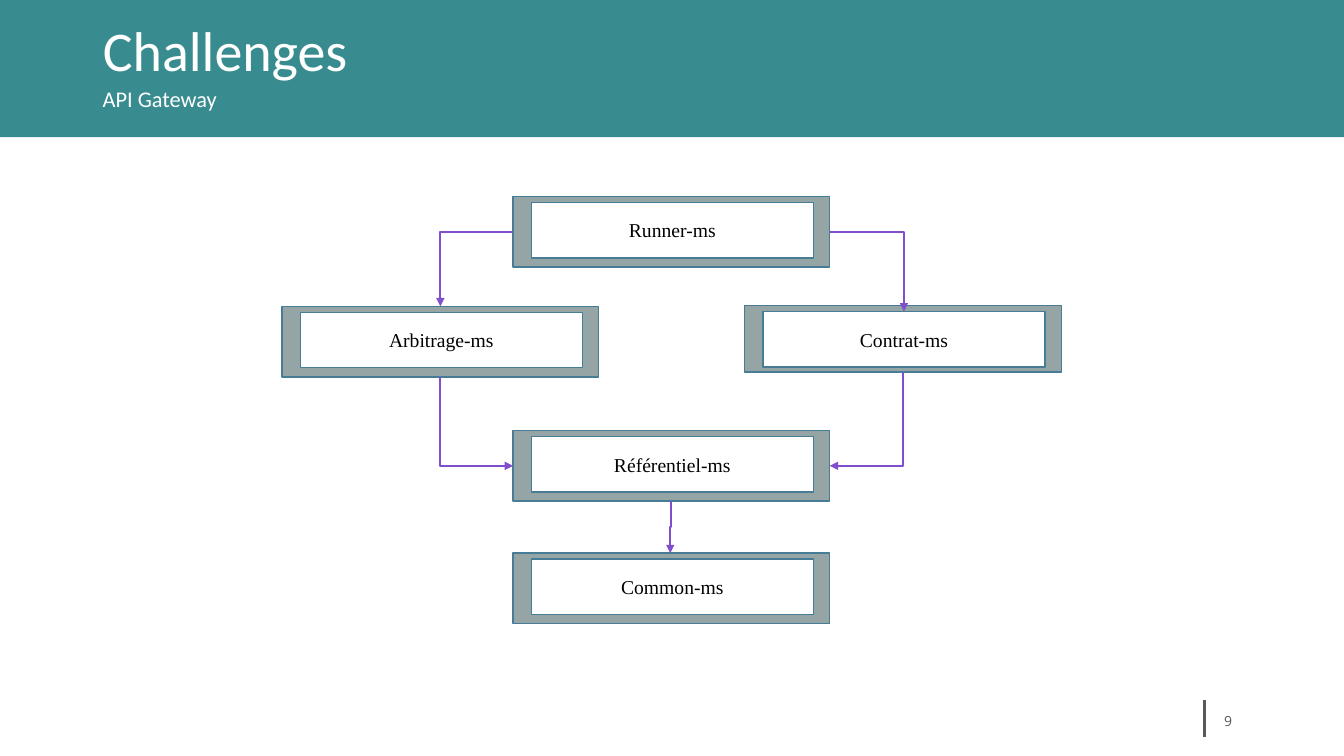
"""Build the API Gateway challenges slide with its service diagram."""
from lxml.etree import SubElement
from pptx import Presentation
from pptx.dml.color import RGBColor
from pptx.enum.shapes import MSO_CONNECTOR, MSO_SHAPE
from pptx.enum.text import MSO_ANCHOR, PP_ALIGN
from pptx.oxml.ns import qn
from pptx.util import Cm, Pt


def rgb(color):
    return RGBColor.from_string(color)


def write(tf, text, size, font, color, align=PP_ALIGN.LEFT, anchor=MSO_ANCHOR.MIDDLE, spacing=1.0):
    tf.word_wrap = True
    tf.vertical_anchor = anchor
    p = tf.paragraphs[0]
    p.alignment = align
    p.line_spacing = spacing
    r = p.add_run()
    r.text = text
    r.font.size = Pt(size)
    r.font.name = font
    r.font.color.rgb = rgb(color)


prs = Presentation()
prs.slide_width, prs.slide_height = Cm(33.87), Cm(19.05)
s = prs.slides.add_slide(prs.slide_layouts[5])

title = s.shapes.title
title.left, title.top, title.width, title.height = Cm(2.34), Cm(0.38), Cm(29.21), Cm(1.93)
write(title.text_frame, "Challenges", 40, "Calibri", "FFFFFF", spacing=0.9)

band = s.shapes.add_shape(MSO_SHAPE.RECTANGLE, 0, Cm(-0.18), prs.slide_width, Cm(3.64))
band.shadow.inherit = False
band.fill.solid()
band.fill.fore_color.rgb = rgb("388B8F")
band.line.fill.background()
title.element.addprevious(band.element)

number = s.shapes.add_textbox(Cm(30.43), Cm(17.78), Cm(1.04), Cm(0.79))
write(number.text_frame, "9", 10, "Open Sans", "595959", align=PP_ALIGN.CENTER)

rule = s.shapes.add_connector(MSO_CONNECTOR.STRAIGHT, Cm(30.35), Cm(17.65), Cm(30.35), Cm(18.57))
rule.line.color.rgb = rgb("595959")
rule.line.width = Pt(2.25)
SubElement(rule.element.spPr, qn("a:effectLst"))

subtitle = s.shapes.add_textbox(Cm(2.34), Cm(2.03), Cm(29.21), Cm(0.94))
write(subtitle.text_frame, "API Gateway", 16, "Calibri", "FFFFFF", anchor=MSO_ANCHOR.TOP)

services = [
    ("Runner-ms", 12.93, 4.95, 1.78),
    ("Arbitrage-ms", 7.11, 7.72, 1.78),
    ("Contrat-ms", 18.77, 7.7, 1.68),
    ("Référentiel-ms", 12.93, 10.85, 1.78),
    ("Common-ms", 12.93, 13.94, 1.78),
]
for name, x, y, h in services:
    frame = s.shapes.add_shape(MSO_SHAPE.RECTANGLE, Cm(x), Cm(y), Cm(7.98), Cm(h))
    label = s.shapes.add_shape(MSO_SHAPE.RECTANGLE, Cm(x + 0.46), Cm(y + 0.15), Cm(7.11), Cm(1.4))
    for sp, fill in ((frame, "95A5A6"), (label, "FFFFFF")):
        sp.shadow.inherit = False
        sp.fill.solid()
        sp.fill.fore_color.rgb = rgb(fill)
        sp.line.color.rgb = rgb("477C96")
        sp.line.width = Pt(1)
    write(label.text_frame, name, 14, "Times New Roman", "000000", align=PP_ALIGN.CENTER)

arrows = [
    ("bentConnector2", False, 12.93, 5.84, 11.1, 7.72),
    ("bentConnector2", True, 11.1, 9.5, 12.93, 11.74),
    ("bentConnector3", True, 16.92, 12.63, 16.89, 13.94),
    ("bentConnector2", True, 22.76, 9.38, 20.91, 11.74),
    ("bentConnector2", False, 20.91, 5.84, 22.78, 7.85),
]
for preset, down_first, x1, y1, x2, y2 in arrows:
    rotation = 0
    if down_first:
        cx, cy = (x1 + x2) / 2, (y1 + y2) / 2
        half_w, half_h = (y2 - y1) / 2, abs(x2 - x1) / 2
        rotation = 90
        if x2 > x1:
            rotation, half_w = 270, -half_w
        x1, y1, x2, y2 = cx - half_w, cy - half_h, cx + half_w, cy + half_h
    arrow = s.shapes.add_connector(MSO_CONNECTOR.ELBOW, Cm(x1), Cm(y1), Cm(x2), Cm(y2))
    arrow.rotation = rotation
    arrow.line.color.rgb = rgb("814FCD")
    arrow.line.width = Pt(1.5)
    spPr = arrow.element.spPr
    spPr.find(qn("a:prstGeom")).set("prst", preset)
    SubElement(spPr.find(qn("a:ln")), qn("a:tailEnd"), type="triangle")
    SubElement(spPr, qn("a:effectLst"))

prs.save("out.pptx")
